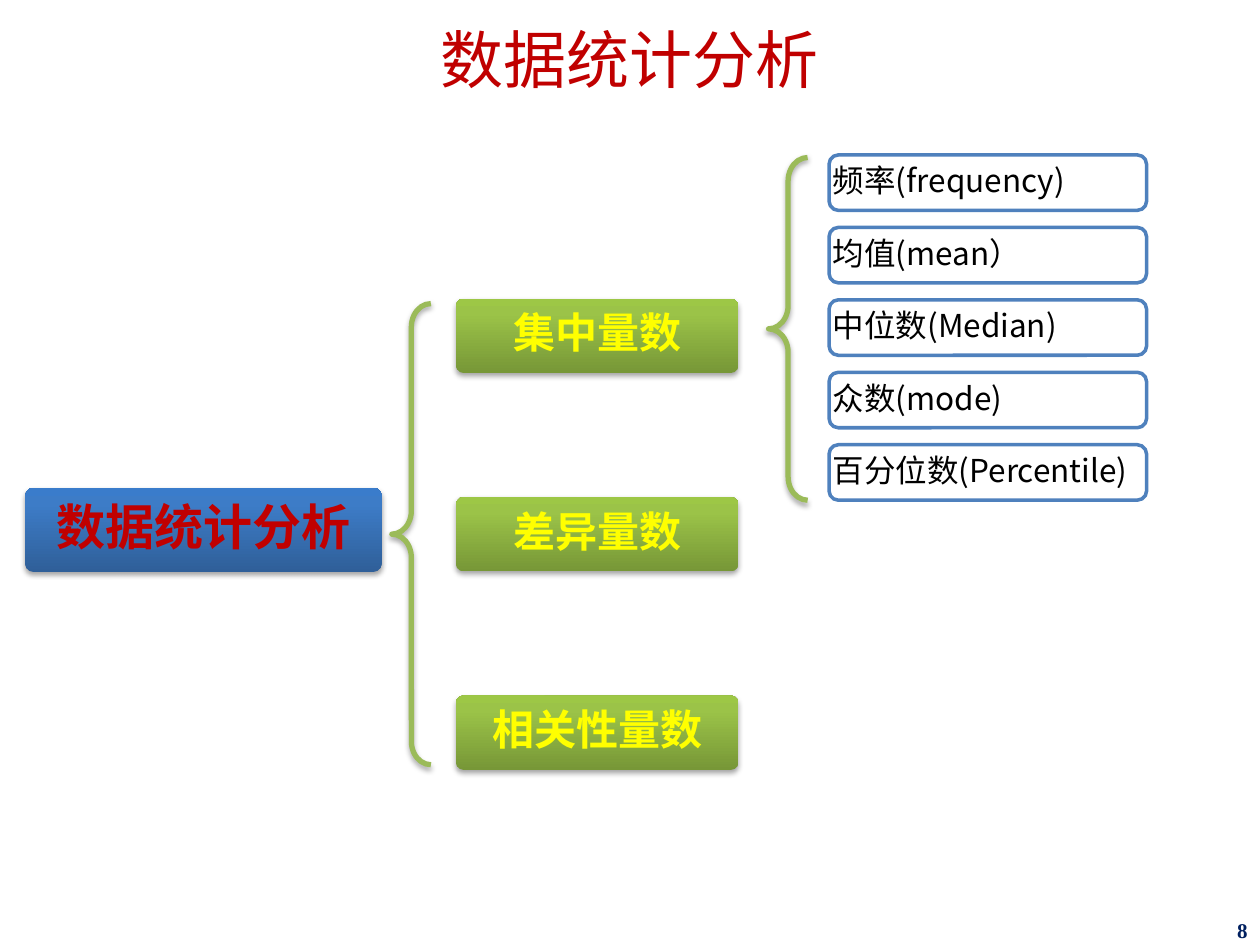
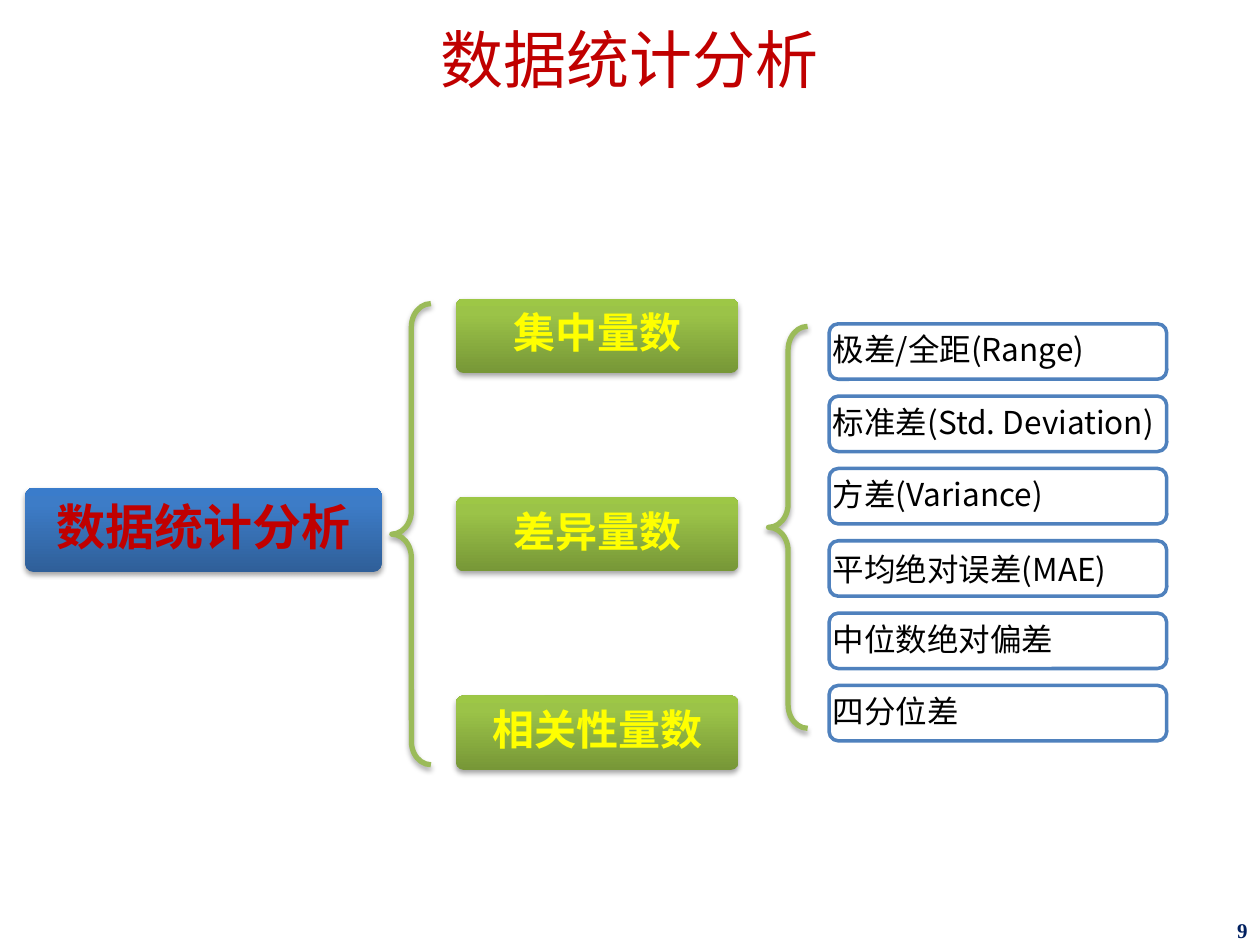
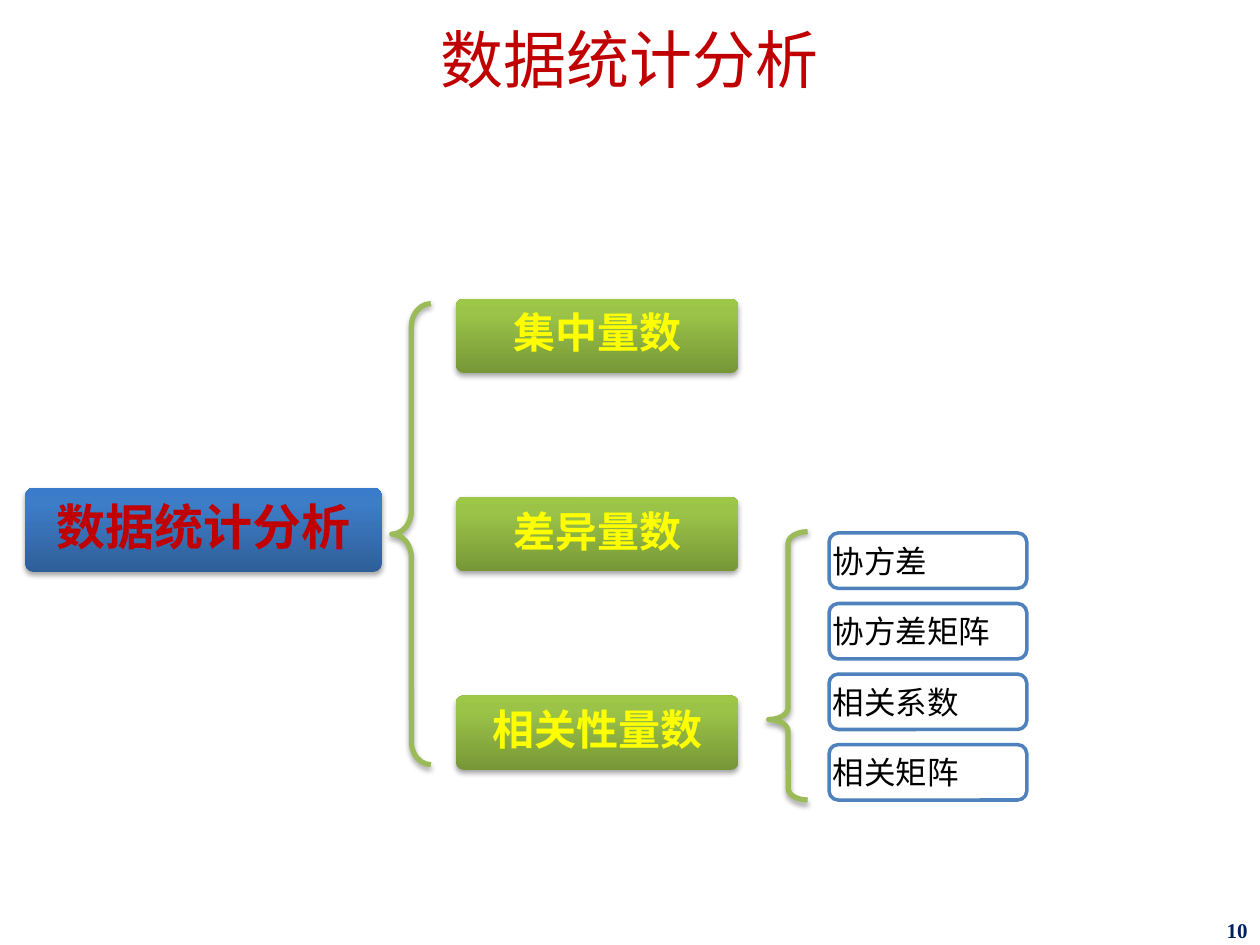
from lxml.etree import SubElement
from pptx import Presentation
from pptx.dml.color import RGBColor
from pptx.enum.shapes import MSO_SHAPE as SHAPE
from pptx.enum.text import MSO_ANCHOR as ANCHOR, PP_ALIGN as ALIGN
from pptx.oxml.ns import qn
from pptx.util import Inches, Pt

# Content
TOPIC = "数据统计分析"
BRANCHES = ["集中量数", "差异量数", "相关性量数"]
# Tops of the first and last measure, their width and line spacing;
# brace top, height and adjustments
SLIDES = [
    dict(number=8, first=1.23, last=3.53, width=2.52, spacing=0.9,
         brace=(1.25, 2.72, 0.6, 0.5),
         measures=["频率(frequency)", "均值(mean）", "中位数(Median)",
                   "众数(mode)", "百分位数(Percentile)"]),
    dict(number=9, first=2.57, last=5.44, width=2.68, spacing=0.9,
         brace=(2.59, 3.19, 0.6, 0.5),
         measures=["极差/全距(Range)", "标准差(Std. Deviation)", "方差(Variance)",
                   "平均绝对误差(MAE)", "中位数绝对偏差", "四分位差"]),
    dict(number=10, first=4.23, last=5.91, width=1.57, spacing=1.0,
         brace=(4.22, 2.13, 0.3, 0.7),
         measures=["协方差", "协方差矩阵", "相关系数", "相关矩阵"]),
]
SINGLE_SPACED = {"平均绝对误差(MAE)"}

# Shared look
RED = RGBColor(0xC0, 0x00, 0x00)
YELLOW = RGBColor(0xFF, 0xFF, 0x00)
NAVY = RGBColor(0x00, 0x20, 0x60)
BLACK = RGBColor(0x00, 0x00, 0x00)
WHITE = RGBColor(0xFF, 0xFF, 0xFF)
BLUE = RGBColor(0x4F, 0x81, 0xBD)
GREEN = RGBColor(0x9B, 0xBB, 0x59)
GREEN_BLEND = [(0, "779737"), (80, "9BC348"), (100, "9DC746")]
BLUE_BLEND = [(0, "2F5F99"), (80, "3D7CC7"), (100, "3A7CCB")]
SANS, SERIF = "Noto Sans CJK SC", "Times New Roman"

BRANCH_TOP, BRANCH_STEP = 2.37, 1.575
MEASURE_LEFT, MEASURE_HEIGHT = 6.58, 0.44
BRACE_WIDTH = 0.31


def write(shape, text, size, color, font=SANS, bold=False, align=ALIGN.CENTER,
          anchor=ANCHOR.MIDDLE, insets=(0.1, 0.05, 0.1, 0.05), spacing=1.0):
    frame = shape.text_frame
    frame.word_wrap = True
    frame.vertical_anchor = anchor
    (frame.margin_left, frame.margin_top,
     frame.margin_right, frame.margin_bottom) = map(Inches, insets)
    paragraph = frame.paragraphs[0]
    paragraph.alignment = align
    paragraph.line_spacing = spacing
    run = paragraph.add_run()
    run.text = text
    run.font.size = Pt(size)
    run.font.bold = bold
    run.font.color.rgb = color
    run.font.name = font
    SubElement(run.font._element, qn("a:ea"), typeface=SANS)


def add_text(slide, box, text, size, color, **style):
    write(slide.shapes.add_textbox(*map(Inches, box)), text, size, color, **style)


def add_plain_shape(slide, kind, box):
    shape = slide.shapes.add_shape(kind, *map(Inches, box))
    shape.shadow.inherit = False
    return shape


def add_shadow(shape):
    effects = shape._element.spPr.find(qn("a:effectLst"))
    shadow = SubElement(effects, qn("a:outerShdw"), blurRad=str(Pt(3.1)),
                        dist=str(Pt(1.8)), dir="5400000", rotWithShape="0")
    black = SubElement(shadow, qn("a:srgbClr"), val="000000")
    SubElement(black, qn("a:alpha"), val="35000")


def add_node(slide, box, text, size, color, blend):
    node = add_plain_shape(slide, SHAPE.ROUNDED_RECTANGLE, box)
    node.adjustments[0] = 0.1
    node.line.fill.background()
    node.fill.gradient()
    node.fill.gradient_angle = 90
    stops = node._element.spPr.find(qn("a:gradFill")).find(qn("a:gsLst"))
    for stop in list(stops):
        stops.remove(stop)
    for percent, shade in blend:
        stop = SubElement(stops, qn("a:gs"), pos=str(percent * 1000))
        SubElement(stop, qn("a:srgbClr"), val=shade)
    add_shadow(node)
    write(node, text, size, color, bold=True, anchor=ANCHOR.TOP)


def add_brace(slide, left, top, height, curve, tip):
    brace = add_plain_shape(slide, SHAPE.LEFT_BRACE, (left, top, BRACE_WIDTH, height))
    brace.adjustments[0], brace.adjustments[1] = curve, tip
    brace.fill.background()
    brace.line.color.rgb = GREEN
    brace.line.width = Pt(3)
    add_shadow(brace)


def add_measure(slide, top, width, text, spacing):
    measure = add_plain_shape(slide, SHAPE.ROUNDED_RECTANGLE,
                              (MEASURE_LEFT, top, width, MEASURE_HEIGHT))
    measure.fill.solid()
    measure.fill.fore_color.rgb = WHITE
    measure.line.color.rgb = BLUE
    measure.line.width = Pt(2)
    write(measure, text, 18, BLACK, align=ALIGN.LEFT, insets=(0.01,) * 4,
          spacing=1.0 if text in SINGLE_SPACED else spacing)


def add_frame(slide, number):
    """Title, page number and the tree's first two levels."""
    add_text(slide, (0, 0, 10, 0.89), TOPIC, 36, RED, font=SERIF,
             insets=(0.1, 0.16, 0.1, 0.05), spacing=0.9)
    add_text(slide, (7.75, 7.28, 2.25, 0.22), str(number), 12, NAVY, font=SERIF,
             bold=True, align=ALIGN.RIGHT, insets=(0.1, 0.04, 0.1, 0.05))
    add_node(slide, (0.2, 3.87, 2.83, 0.67), TOPIC, 28, RED, BLUE_BLEND)
    add_brace(slide, 3.11, 2.41, 3.66, 0.6, 0.5)
    for row, branch in enumerate(BRANCHES):
        top = BRANCH_TOP + row * BRANCH_STEP
        add_node(slide, (3.62, top, 2.24, 0.59), branch, 24, YELLOW, GREEN_BLEND)


def main():
    deck = Presentation()
    deck.slide_width, deck.slide_height = Inches(10), Inches(7.5)
    for page in SLIDES:
        slide = deck.slides.add_slide(deck.slide_layouts[6])
        add_frame(slide, page["number"])
        add_brace(slide, 6.1, *page["brace"])
        # Measures at equal steps
        step = (page["last"] - page["first"]) / (len(page["measures"]) - 1)
        for row, measure in enumerate(page["measures"]):
            add_measure(slide, page["first"] + row * step, page["width"],
                        measure, page["spacing"])
    deck.save("out.pptx")


if __name__ == "__main__":
    main()
